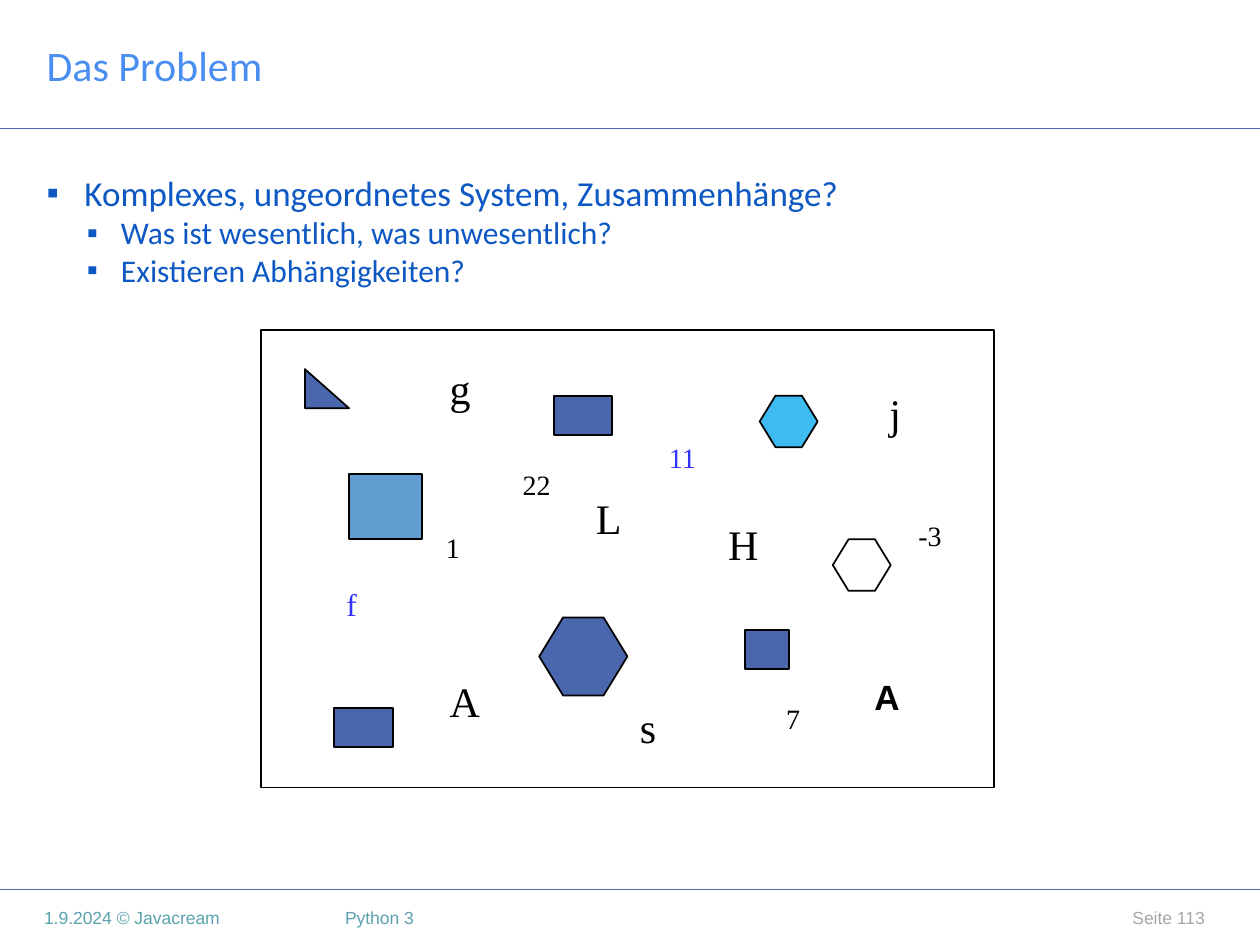
from lxml.etree import SubElement
from pptx import Presentation
from pptx.dml.color import RGBColor
from pptx.enum.shapes import MSO_CONNECTOR, MSO_SHAPE as Preset
from pptx.enum.text import MSO_ANCHOR as Anchor, MSO_AUTO_SIZE as AutoSize, PP_ALIGN as Align
from pptx.oxml.ns import qn
from pptx.util import Inches, Pt

BLUE, BLACK, LINK_BLUE = "4A66AC", "000000", "3333FF"
TITLE_BLUE, BODY_BLUE = "4A8EF2", "0E58C4"
TEAL, GRAY = "5AA2AE", "A7A7A7"
SERIF, SANS, HEADING = "Times New Roman", "Arial", "Calibri"

BULLETS = [
    ("Komplexes, ungeordnetes System, Zusammenhänge?", 0, 20, 0.3, -0.3),
    ("Was ist wesentlich, was unwesentlich?", 1, 18, 0.59, -0.27),
    ("Existieren Abhängigkeiten?", 1, 18, 0.59, -0.27),
]
FORMS = [
    (Preset.RECTANGLE, (2.07, 2.62, 5.82, 3.63), None),
    (Preset.RIGHT_TRIANGLE, (2.42, 2.93, 0.35, 0.31), BLUE),
    (Preset.RECTANGLE, (4.4, 3.14, 0.46, 0.31), BLUE),
    (Preset.HEXAGON, (6.03, 3.14, 0.46, 0.41), "3EBBF0"),
    (Preset.HEXAGON, (6.61, 4.28, 0.46, 0.41), None),
    (Preset.RECTANGLE, (2.65, 5.62, 0.47, 0.31), BLUE),
    (Preset.RECTANGLE, (2.77, 3.76, 0.58, 0.52), "629DD1"),
    (Preset.RECTANGLE, (5.91, 5, 0.35, 0.31), BLUE),
    (Preset.HEXAGON, (4.28, 4.9, 0.7, 0.62), BLUE),
]
LARGE_LETTERS = [
    ("L", 4.63, 3.86), ("g", 3.47, 2.83), ("j", 6.96, 3.03),
    ("A", 3.47, 5.31), ("H", 5.68, 4.07), ("s", 4.98, 5.52),
]
NUMBERS = [
    ("1", 3.44, 4.16, 0.31, BLACK), ("-3", 7.19, 4.07, 0.39, BLACK),
    ("22", 4.05, 3.66, 0.43, BLACK), ("7", 6.14, 5.52, 0.31, BLACK),
    ("11", 5.21, 3.45, 0.42, LINK_BLUE),
]


def color(value):
    return RGBColor.from_string(value)


def apply(target, values):
    for name, value in values.items():
        setattr(target, name, value)


class SlideBuilder:
    line_width = Pt(1)

    def __init__(self, slide):
        self.slide = slide
        self.group = slide.shapes.add_group_shape()

    def add_text(self, paragraph, text, size, font, text_color, bold=False):
        run = paragraph.add_run()
        run.text = text
        apply(run.font, {"size": Pt(size), "name": font, "bold": bold})
        run.font.color.rgb = color(text_color)

    def place(self, shape, box):
        apply(shape, dict(zip(("left", "top", "width", "height"), map(Inches, box))))

    def title(self, text, box):
        shape = self.slide.shapes.title
        self.place(shape, box)
        apply(shape.text_frame, {"vertical_anchor": Anchor.MIDDLE, "auto_size": AutoSize.NONE})
        paragraph = shape.text_frame.paragraphs[0]
        paragraph.alignment = Align.LEFT
        self.add_text(paragraph, text, 24, HEADING, TITLE_BLUE)

    def bullets(self, items, box):
        shape = self.slide.placeholders[1]
        self.place(shape, box)
        frame = shape.text_frame
        frame.auto_size = AutoSize.NONE
        for index, (text, level, size, margin, indent) in enumerate(items):
            paragraph = frame.add_paragraph() if index else frame.paragraphs[0]
            apply(paragraph, {"level": level, "space_before": Pt(0)})
            properties = paragraph._p.get_or_add_pPr()
            properties.set("marL", str(Inches(margin)))
            properties.set("indent", str(Inches(indent)))
            bullet_color = SubElement(properties, qn("a:buClr"))
            SubElement(bullet_color, qn("a:srgbClr"), val=BODY_BLUE)
            SubElement(properties, qn("a:buFont"), typeface=SANS)
            SubElement(properties, qn("a:buChar"), char="▪")
            self.add_text(paragraph, text, size, HEADING, BODY_BLUE)

    def rule(self, top):
        line = self.slide.shapes.add_connector(
            MSO_CONNECTOR.STRAIGHT, Inches(0), Inches(top), Inches(10), Inches(top))
        line.line.color.rgb = color(BLUE)
        line.line.width = self.line_width
        SubElement(line._element.spPr, qn("a:effectLst"))

    def form(self, preset, box, fill):
        shape = self.group.shapes.add_shape(preset, *map(Inches, box))
        shape.shadow.inherit = False
        if preset == Preset.HEXAGON:
            shape.adjustments[0] = 0.306
        if fill:
            shape.fill.solid()
            shape.fill.fore_color.rgb = color(fill)
        else:
            shape.fill.background()
        shape.line.color.rgb = color(BLACK)
        shape.line.width = self.line_width

    def label(self, text, box, size, font=SERIF, text_color=BLACK, bold=False, wrap=True):
        shape = self.group.shapes.add_textbox(*map(Inches, box))
        apply(shape.text_frame, {"word_wrap": wrap, "auto_size": AutoSize.SHAPE_TO_FIT_TEXT})
        self.add_text(shape.text_frame.paragraphs[0], text, size, font, text_color, bold)

    def footer(self, text, left, width, text_color, margin=0.1, align=Align.LEFT):
        shape = self.slide.shapes.add_textbox(*map(Inches, (left, 7.06, width, 0.44)))
        apply(shape.text_frame, {
            "word_wrap": True, "vertical_anchor": Anchor.MIDDLE,
            "margin_left": Inches(margin), "margin_right": Inches(margin),
            "margin_top": Inches(0.04), "margin_bottom": Inches(0.04),
        })
        paragraph = shape.text_frame.paragraphs[0]
        paragraph.alignment = align
        self.add_text(paragraph, text, 10, SANS, text_color)


def main():
    presentation = Presentation()
    apply(presentation, {"slide_width": Inches(10), "slide_height": Inches(7.5)})
    builder = SlideBuilder(presentation.slides.add_slide(presentation.slide_layouts[1]))

    for top in (7.06, 1.02):
        builder.rule(top)
    builder.title("Das Problem", (0.27, 0, 6.22, 1.02))
    builder.bullets(BULLETS, (0.27, 1.31, 9.34, 5.57))
    builder.footer("1.9.2024 © Javacream", 0.35, 2.2, TEAL, margin=0)
    builder.footer("Python 3", 2.64, 5.91, TEAL)
    builder.footer("Seite 113", 8.75, 0.91, GRAY, align=Align.RIGHT)

    for preset, box, fill in FORMS:
        builder.form(preset, box, fill)
    for text, left, top in LARGE_LETTERS:
        builder.label(text, (left, top, 0.58, 0.5), 24)
    builder.label("f", (2.65, 4.59, 0.58, 0.4), 18, text_color=LINK_BLUE)
    builder.label("A", (6.84, 5.31, 0.58, 0.44), 20, SANS, bold=True)
    for text, left, top, width, text_color in NUMBERS:
        builder.label(text, (left, top, width, 0.37), 16, text_color=text_color, wrap=False)

    presentation.save("out.pptx")


if __name__ == "__main__":
    main()
